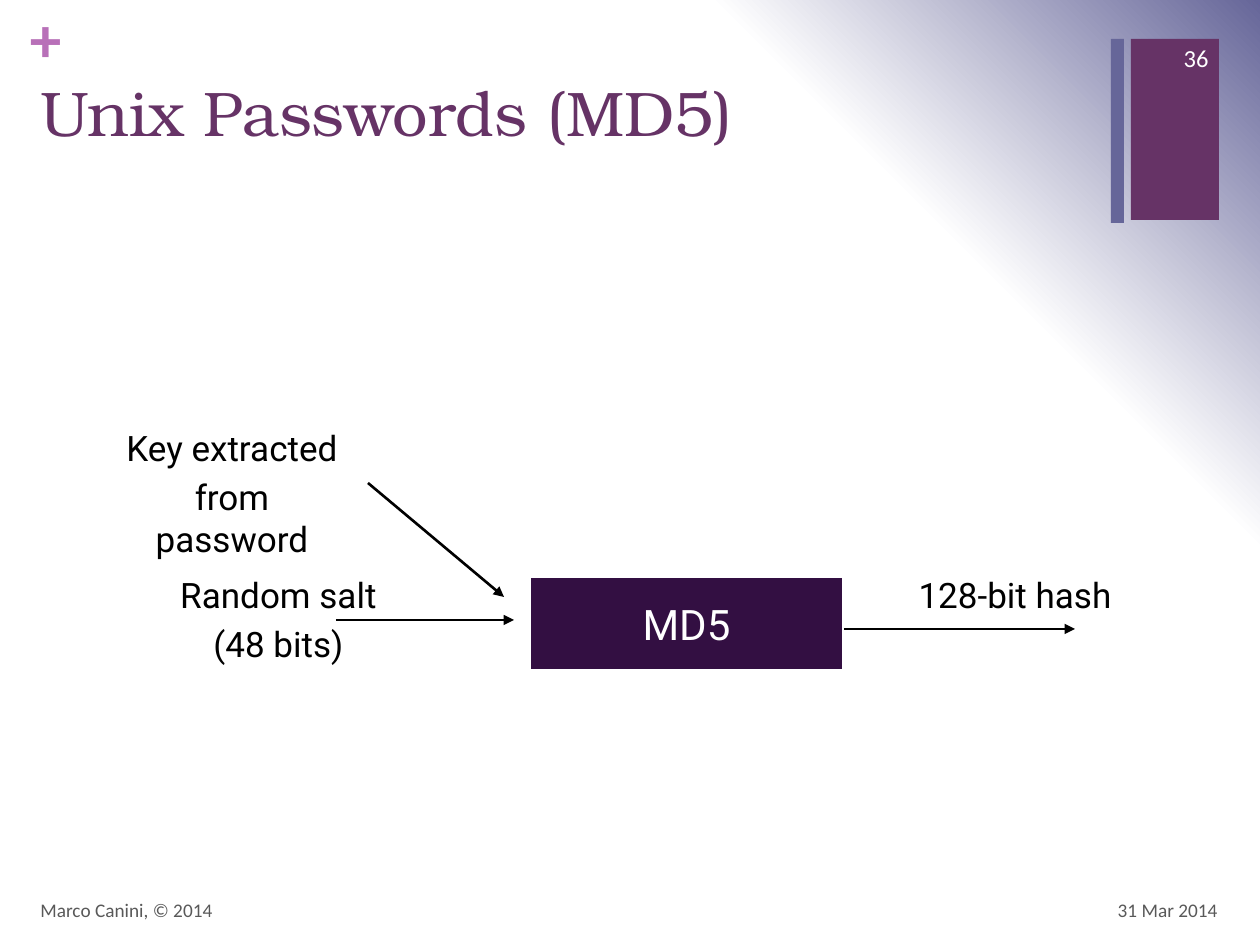
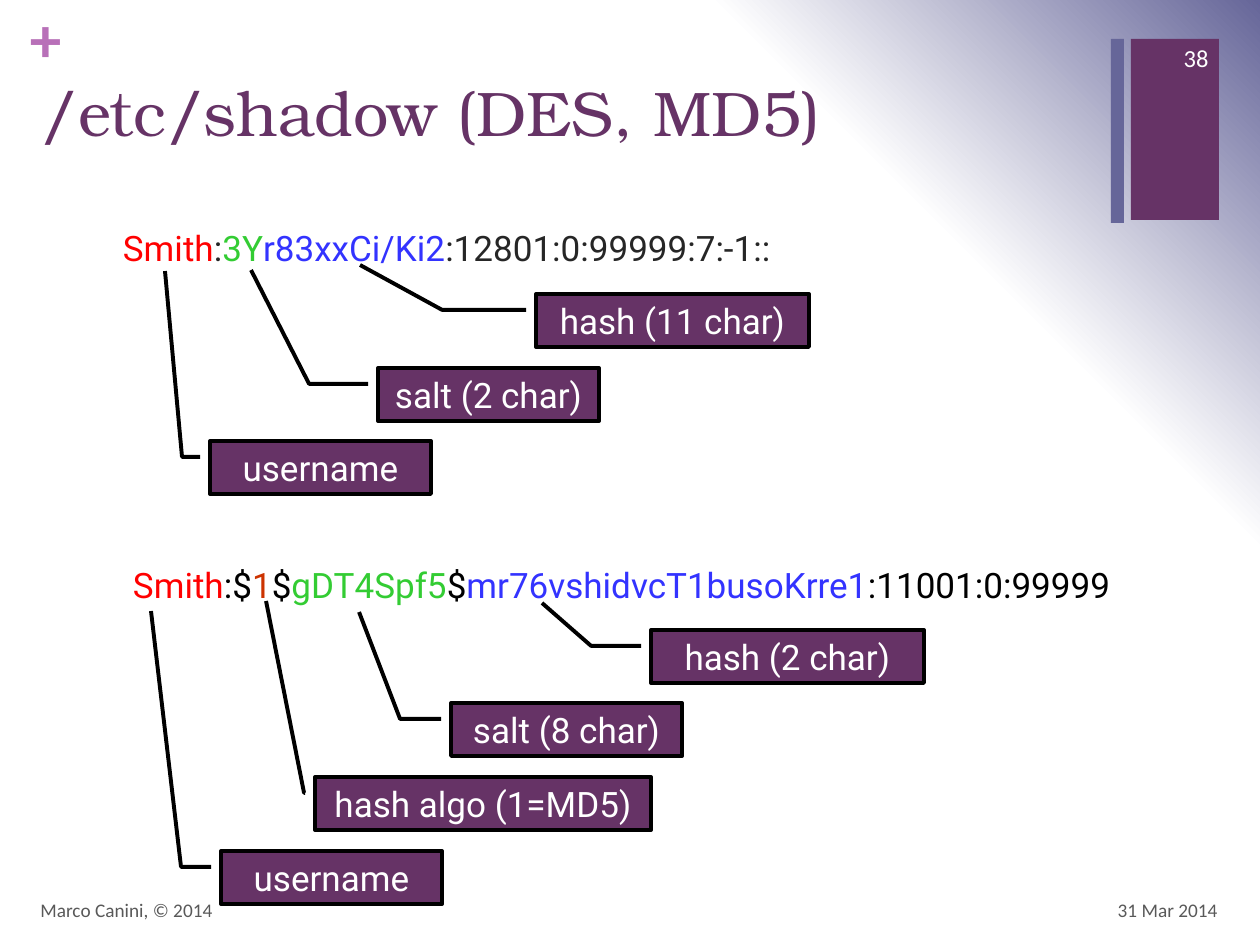
from typing import Any, NamedTuple

from pptx import Presentation
from pptx.dml.color import RGBColor
from pptx.enum.shapes import MSO_CONNECTOR as Connector, MSO_SHAPE as Preset
from pptx.enum.text import MSO_ANCHOR as Anchor, PP_ALIGN as Align
from pptx.oxml import parse_xml
from pptx.oxml.ns import nsdecls
from pptx.util import Emu, Pt

EMU_PER_PX = 914400 / 126
SLIDE_WIDTH, SLIDE_HEIGHT = 1260, 945
TITLE_ONLY = 5
BODY_FONT, FOOTER_FONT, TITLE_FONT = "Roboto", "Calibri", "TeX Gyre Bonum"

COLOURS = {
    "white": "FFFFFF", "black": "000000", "plum": "663366", "slate": "666699",
    "orchid": "B870B8", "aubergine": "330F42", "grey": "595959", "ink": "262626",
    "red": "FF0000", "rust": "CC3300", "green": "33CC33", "blue": "3333FF",
}


class Box(NamedTuple):
    left: int
    top: int
    width: int
    height: int


class Style(NamedTuple):
    font: str
    size: int
    colour: str
    align: Align = Align.LEFT
    anchor: Anchor = Anchor.TOP
    space_before: int = 0
    bold: bool = False


class Run(NamedTuple):
    text: str
    colour: str


class Label(NamedTuple):
    box: Box
    lines: list[str]


class Arrow(NamedTuple):
    start: tuple[int, int]
    end: tuple[int, int]


class Callout(NamedTuple):
    text: str
    left: int
    top: int
    width: int
    elbow_x: int
    tip: tuple[int, int]


class ShadowEntry(NamedTuple):
    box: Box
    runs: list[Run]
    callouts: list[Callout]


TITLE_STYLE = Style(TITLE_FONT, 36, "plum")
PLUS_STYLE = Style(FOOTER_FONT, 36, "orchid", bold=True)
FOOTER_STYLE = Style(FOOTER_FONT, 11, "grey", anchor=Anchor.MIDDLE)
DATE_STYLE = FOOTER_STYLE._replace(align=Align.RIGHT)
NUMBER_STYLE = DATE_STYLE._replace(size=14, colour="white")
ENTRY_STYLE = Style(BODY_FONT, 20, "black", space_before=4)
LABEL_STYLE = ENTRY_STYLE._replace(align=Align.CENTER)
CALLOUT_STYLE = Style(BODY_FONT, 20, "white", Align.CENTER, Anchor.MIDDLE)
HASH_STYLE = CALLOUT_STYLE._replace(size=24)

TITLE_BOX = Box(28, 67, 1082, 154)
BANDS = [(Box(1131, 39, 88, 181), "plum"), (Box(1111, 39, 13, 184), "slate")]
CALLOUT_HEIGHT, CALLOUT_GAP, CALLOUT_LINE_Y = 53, 10, 0.3
ENTRY_INDENT = 60

HASH_BOX = Box(529, 576, 315, 95)
HASH_LABELS = [
    Label(Box(126, 567, 305, 105), ["Random salt", "(48 bits)"]),
    Label(Box(105, 420, 254, 105), ["Key extracted", "from password"]),
    Label(Box(905, 567, 220, 55), ["128-bit hash"]),
]
HASH_ARROWS = [
    Arrow((368, 483), (504, 597)),
    Arrow((336, 620), (514, 620)),
    Arrow((844, 629), (1075, 629)),
]

SHADOW_ENTRIES = [
    ShadowEntry(
        Box(63, 220, 1134, 315),
        [Run("Smith", "red"), Run(":", "ink"), Run("3Y", "green"),
         Run("r83xxCi/Ki2", "blue"), Run(":12801:0:99999:7:-1::", "ink")],
        [Callout("username", 210, 441, 221, 182, (165, 271)),
         Callout("salt (2 char)", 378, 368, 221, 309, (251, 270)),
         Callout("hash (11 char)", 536, 294, 273, 442, (360, 265))],
    ),
    ShadowEntry(
        Box(73, 557, 1134, 315),
        [Run("Smith", "red"), Run(":$", "black"), Run("1", "rust"), Run("$", "black"),
         Run("gDT4Spf5", "green"), Run("$", "black"),
         Run("mr76vshidvcT1busoKrre1", "blue"), Run(":11001:0:99999", "black")],
        [Callout("username", 221, 851, 221, 181, (151, 611)),
         Callout("salt (8 char)", 451, 703, 231, 400, (359, 612)),
         Callout("hash (2 char)", 651, 630, 273, 591, (542, 603)),
         Callout("hash algo (1=MD5)", 315, 777, 336, 304, (266, 601))],
    ),
]


def px(length: int) -> Emu:
    return Emu(round(length * EMU_PER_PX))


def colour(name: str) -> RGBColor:
    return RGBColor.from_string(COLOURS[name])


def set_values(target: Any, values: dict[str, Any]) -> None:
    for name, value in values.items():
        setattr(target, name, value)


def write(shape: Any, paragraphs: list[list[Run]], style: Style) -> None:
    frame = shape.text_frame
    set_values(frame, {"word_wrap": True, "vertical_anchor": style.anchor})
    for index, runs in enumerate(paragraphs):
        paragraph = frame.add_paragraph() if index else frame.paragraphs[0]
        set_values(paragraph, {"alignment": style.align, "space_before": Pt(style.space_before)})
        for part in runs:
            run = paragraph.add_run()
            run.text = part.text
            set_values(run.font, {"name": style.font, "size": Pt(style.size), "bold": style.bold})
            run.font.color.rgb = colour(part.colour)


def write_lines(shape: Any, lines: list[str], style: Style) -> None:
    write(shape, [[Run(line, style.colour)] for line in lines], style)


def add_text(slide: Any, box: Box, lines: list[str], style: Style) -> Any:
    shape = slide.shapes.add_textbox(*map(px, box))
    write_lines(shape, lines, style)
    return shape


def add_filled(slide: Any, preset: Preset, box: Box, fill: str, line: str = "") -> Any:
    shape = slide.shapes.add_shape(preset, *map(px, box))
    shape.shadow.inherit = False
    shape.fill.solid()
    shape.fill.fore_color.rgb = colour(fill)
    if line:
        shape.line.color.rgb = colour(line)
        shape.line.width = Pt(2.25)
    else:
        shape.line.fill.background()
    return shape


def add_arrow(slide: Any, arrow: Arrow) -> None:
    connector = slide.shapes.add_connector(Connector.STRAIGHT, *map(px, arrow.start + arrow.end))
    connector.line.color.rgb = colour("black")
    connector.line.width = Pt(1.5)
    connector.line._get_or_add_ln().append(
        parse_xml(f'<a:tailEnd {nsdecls("a")} type="triangle"/>'))
    connector._element.spPr.append(parse_xml(f'<a:effectLst {nsdecls("a")}/>'))


def add_callout(slide: Any, callout: Callout) -> None:
    box = Box(callout.left, callout.top, callout.width, CALLOUT_HEIGHT)
    shape = add_filled(slide, Preset.LINE_CALLOUT_2, box, "plum", "black")
    tip_x, tip_y = callout.tip
    line_y = box.top + CALLOUT_LINE_Y * box.height
    points = [(box.left - CALLOUT_GAP, line_y), (callout.elbow_x, line_y), (tip_x, tip_y)]
    for index, (x, y) in enumerate(points):
        shape.adjustments[2 * index] = (y - box.top) / box.height
        shape.adjustments[2 * index + 1] = (x - box.left) / box.width
    write_lines(shape, [callout.text], CALLOUT_STYLE)


def set_background(presentation: Any) -> None:
    master = presentation.slide_master
    master.background.fill.gradient()
    gradient = master.element.xpath("./p:cSld/p:bg//a:gradFill")[0]
    stops = "".join(
        f'<a:gs pos="{position}000"><a:srgbClr val="{COLOURS[name]}"/></a:gs>'
        for position, name in [(0, "white"), (75, "white"), (100, "slate")])
    gradient.getparent().replace(gradient, parse_xml(
        f'<a:gradFill {nsdecls("a")} rotWithShape="1"><a:gsLst>{stops}</a:gsLst>'
        '<a:path path="circle"><a:fillToRect t="100000" r="100000"/></a:path></a:gradFill>'))


def add_base_slide(presentation: Any, title: str, number: int) -> Any:
    slide = presentation.slides.add_slide(presentation.slide_layouts[TITLE_ONLY])
    for box, fill in BANDS:
        add_filled(slide, Preset.RECTANGLE, box, fill)
    plus = add_text(slide, Box(30, 0, 37, 77), ["+"], PLUS_STYLE)
    sides = ("left", "top", "right", "bottom")
    set_values(plus.text_frame, {f"margin_{side}": 0 for side in sides})
    placeholder = slide.shapes.title
    set_values(placeholder, {name: px(value) for name, value in TITLE_BOX._asdict().items()})
    write_lines(placeholder, [title], TITLE_STYLE)
    add_text(slide, Box(28, 885, 844, 50), ["Marco Canini, © 2014"], FOOTER_STYLE)
    add_text(slide, Box(936, 885, 294, 50), ["31 Mar 2014"], DATE_STYLE)
    add_text(slide, Box(1144, 33, 77, 50), [str(number)], NUMBER_STYLE)
    return slide


def add_md5_slide(presentation: Any) -> None:
    slide = add_base_slide(presentation, "Unix Passwords (MD5)", 36)
    hash_shape = add_filled(slide, Preset.RECTANGLE, HASH_BOX, "aubergine", "white")
    write_lines(hash_shape, ["MD5"], HASH_STYLE)
    for label in HASH_LABELS:
        add_text(slide, label.box, label.lines, LABEL_STYLE)
    for arrow in HASH_ARROWS:
        add_arrow(slide, arrow)


def add_shadow_slide(presentation: Any) -> None:
    slide = add_base_slide(presentation, "/etc/shadow (DES, MD5)", 38)
    for entry in SHADOW_ENTRIES:
        text_box = add_text(slide, entry.box, [], ENTRY_STYLE)
        text_box.text_frame.margin_left = px(ENTRY_INDENT)
        write(text_box, [entry.runs], ENTRY_STYLE)
        for callout in entry.callouts:
            add_callout(slide, callout)


def main() -> None:
    presentation = Presentation()
    set_values(presentation, {"slide_width": px(SLIDE_WIDTH), "slide_height": px(SLIDE_HEIGHT)})
    set_background(presentation)
    add_md5_slide(presentation)
    add_shadow_slide(presentation)
    presentation.save("out.pptx")


if __name__ == "__main__":
    main()
